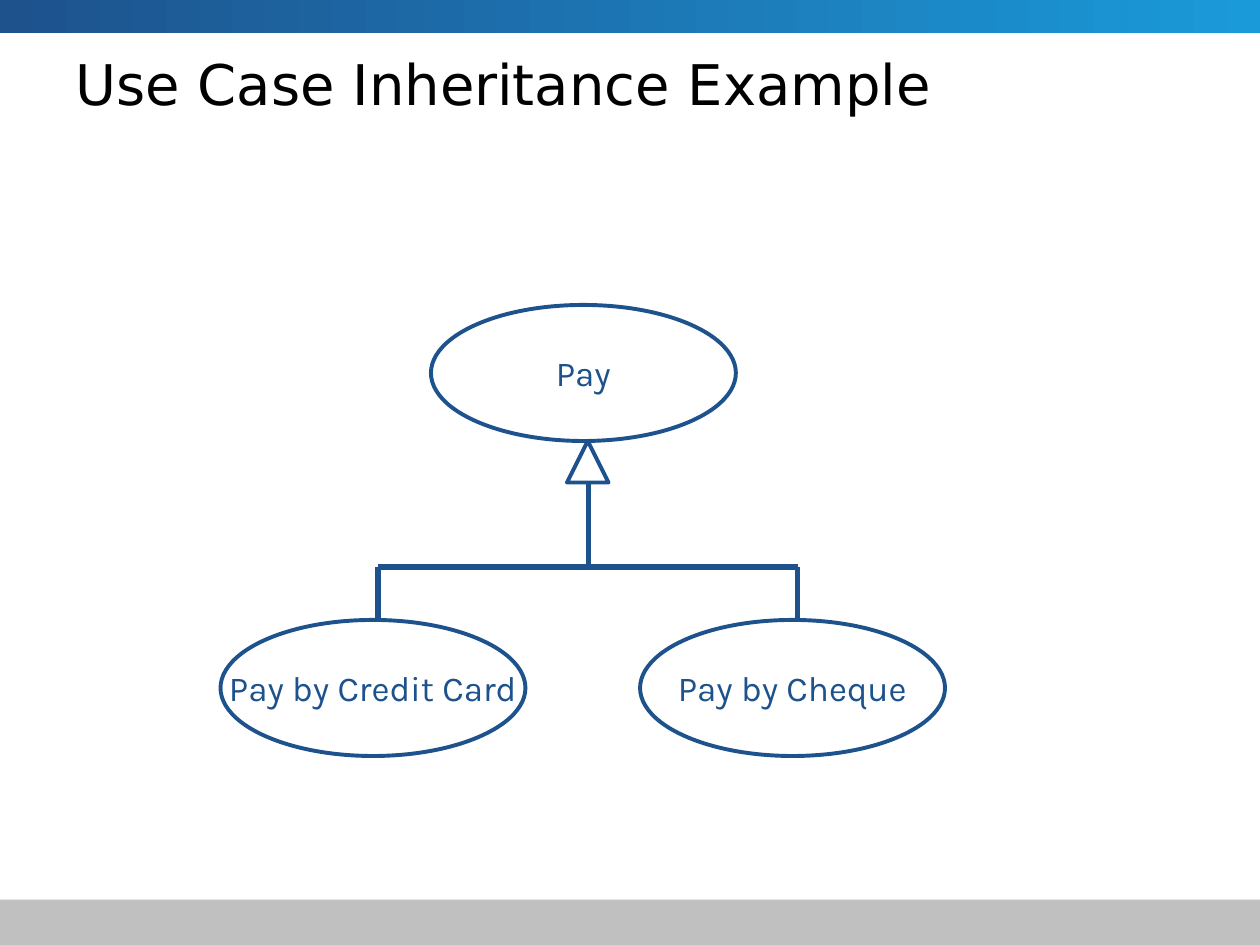
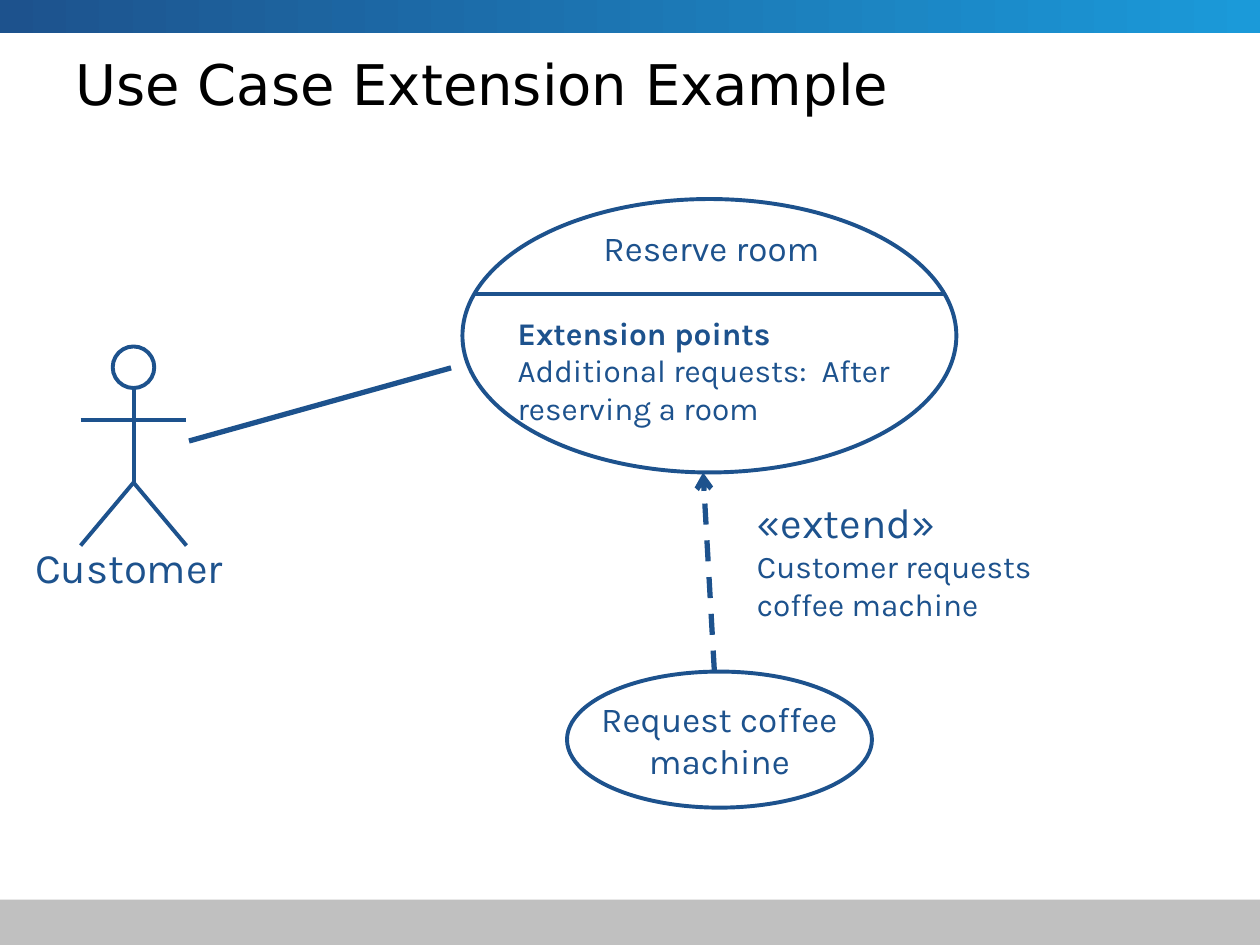
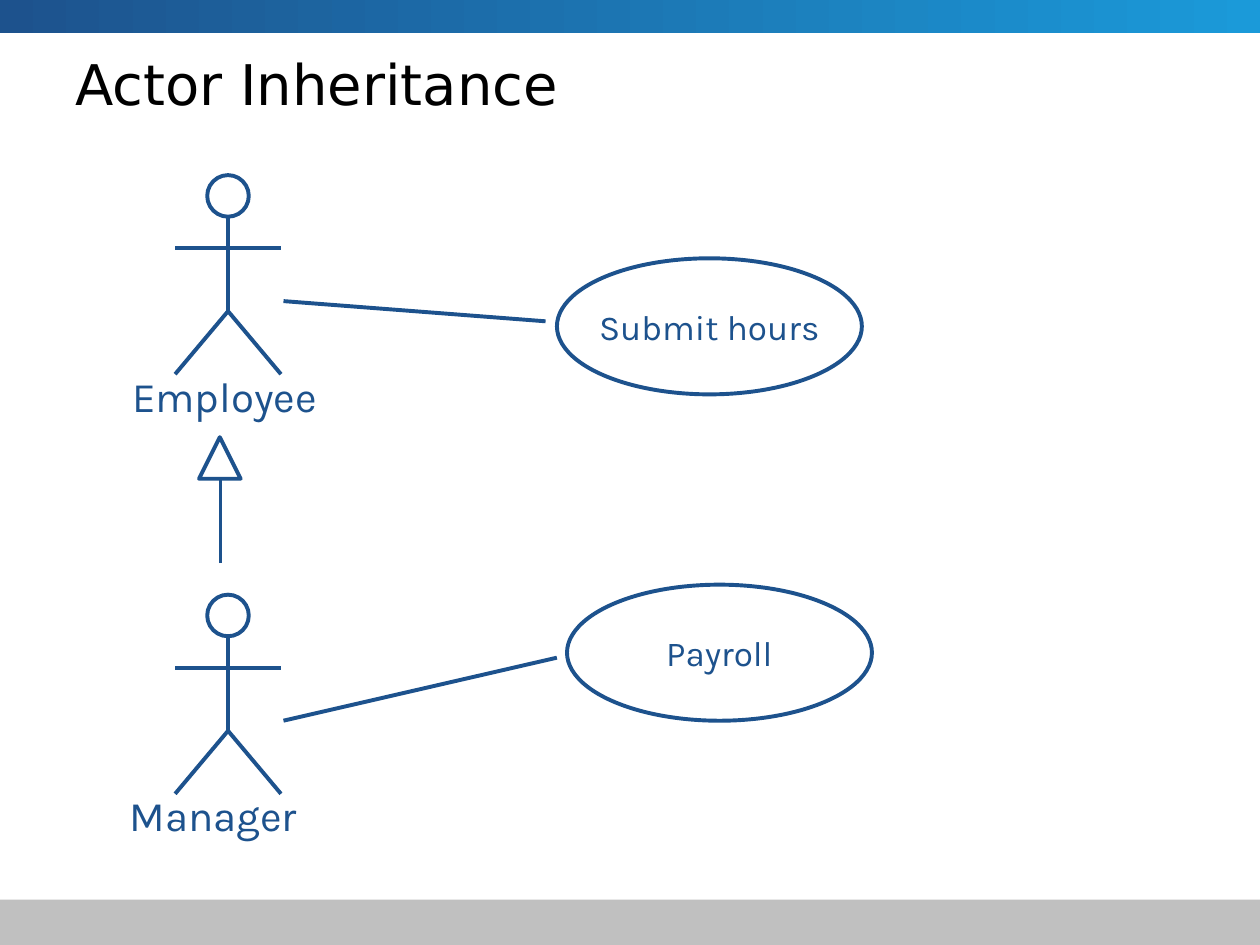
from lxml import etree
from pptx import Presentation
from pptx.dml.color import RGBColor
from pptx.enum.dml import MSO_LINE
from pptx.enum.shapes import MSO_CONNECTOR, MSO_SHAPE
from pptx.enum.text import MSO_ANCHOR, MSO_AUTO_SIZE, PP_ALIGN
from pptx.oxml.ns import qn
from pptx.util import Inches, Pt

BLUE = RGBColor(0x1D, 0x52, 0x8D)
LIGHT_BLUE = RGBColor(0x1B, 0x9A, 0xD9)
GRAY = RGBColor(0xC0, 0xC0, 0xC0)
BLACK = RGBColor(0, 0, 0)
TITLE_FONT, BODY_FONT = "DejaVu Sans", "Karla"

RECTANGLE, ELLIPSE = MSO_SHAPE.RECTANGLE, MSO_SHAPE.OVAL
TRIANGLE = MSO_SHAPE.ISOSCELES_TRIANGLE
STRAIGHT, DASH = MSO_CONNECTOR.STRAIGHT, MSO_LINE.DASH
MIDDLE, CENTER, LEFT = MSO_ANCHOR.MIDDLE, PP_ALIGN.CENTER, PP_ALIGN.LEFT
FIT_TEXT = MSO_AUTO_SIZE.SHAPE_TO_FIT_TEXT

CASE_WIDTH, CASE_HEIGHT = 2.42, 1.08
HEAD = 0.33  # size of actor heads and inheritance triangles
THIN, THICK = 2.25, 3

# Outlines: kind, left, top, width, height, text
# Lines: start x, start y, end x, end y, weight
# Actors: centre x, head top, name, name left, name width
# Labels: left, top, width, height, lines of (text, size, bold)
SLIDES = [
    {
        "title": "Use Case Inheritance Example",
        "outlines": [
            (ELLIPSE, 3.42, 2.42, CASE_WIDTH, CASE_HEIGHT, "Pay"),
            (ELLIPSE, 1.75, 4.92, CASE_WIDTH, CASE_HEIGHT, "Pay by Credit Card"),
            (ELLIPSE, 5.08, 4.92, CASE_WIDTH, CASE_HEIGHT, "Pay by Cheque"),
            (TRIANGLE, 4.5, 3.5, HEAD, HEAD, ""),
        ],
        "lines": [
            (4.67, 4.5, 4.67, 3.83, THICK),
            (6.33, 4.92, 6.33, 4.5, THICK),
            (3, 4.5, 6.33, 4.5, THICK),
            (3, 4.92, 3, 4.5, THICK),
        ],
        "dependencies": [],
        "actors": [],
        "labels": [],
    },
    {
        "title": "Use Case Extension Example",
        "outlines": [
            (ELLIPSE, 3.67, 1.58, 3.92, 2.17, ""),
            (ELLIPSE, 4.5, 5.33, CASE_WIDTH, CASE_HEIGHT, "Request coffee\nmachine"),
        ],
        "lines": [
            (1.5, 3.5, 3.58, 2.92, THICK),
            (3.75, 2.33, 7.5, 2.33, THIN),
        ],
        "dependencies": [(5.67, 5.33, 5.58, 3.75, THICK)],
        "actors": [(1.06, 2.75, "Customer", 0.18, 1.73)],
        "labels": [
            (5.91, 3.89, 2.44, 1.1, [
                ("«extend»", 24, False),
                ("Customer requests", 18, False),
                ("coffee machine", 18, False),
            ]),
            (4.69, 1.75, 2.02, 0.44, [("Reserve room", 20, False)]),
            (4.01, 2.44, 3.33, 1, [
                ("Extension points", 18, True),
                ("Additional requests:  After", 18, False),
                ("reserving a room", 18, False),
            ]),
        ],
    },
    {
        "title": "Actor Inheritance",
        "outlines": [
            (ELLIPSE, 4.42, 2.05, CASE_WIDTH, CASE_HEIGHT, "Submit hours"),
            (ELLIPSE, 4.5, 4.64, CASE_WIDTH, CASE_HEIGHT, "Payroll"),
            (TRIANGLE, 1.58, 3.47, HEAD, HEAD, ""),
        ],
        "lines": [
            (1.75, 4.47, 1.75, 3.8, THIN),
            (2.25, 2.39, 4.33, 2.55, THIN),
            (2.25, 5.72, 4.42, 5.22, THIN),
        ],
        "dependencies": [],
        "actors": [
            (1.81, 1.39, "Employee", 0.95, 1.73),
            (1.81, 4.72, "Manager", 0.93, 1.61),
        ],
        "labels": [],
    },
]


def add_outline(shapes, kind, left, top, width, height, text=""):
    """Add an unfilled blue shape with centred text."""
    shape = shapes.add_shape(kind, Inches(left), Inches(top), Inches(width), Inches(height))
    shape.shadow.inherit = False
    shape.fill.background()
    shape.line.color.rgb = BLUE
    shape.line.width = Pt(THIN)
    if text:
        frame = shape.text_frame
        frame.text = text
        frame.word_wrap = False
        frame.vertical_anchor = MIDDLE
        for para in frame.paragraphs:
            para.alignment = CENTER
            para.font.name = BODY_FONT
            para.font.size = Pt(20)
            para.font.color.rgb = BLUE


def add_line(shapes, start_x, start_y, end_x, end_y, weight):
    """Add a straight blue line without a shadow."""
    line = shapes.add_connector(
        STRAIGHT, Inches(start_x), Inches(start_y), Inches(end_x), Inches(end_y))
    line.line.color.rgb = BLUE
    line.line.width = Pt(weight)
    etree.SubElement(line._element.spPr, qn("a:effectLst"))
    return line


deck = Presentation()
deck.slide_width, deck.slide_height = Inches(10), Inches(7.5)

for content in SLIDES:
    page = deck.slides.add_slide(deck.slide_layouts[6])

    # Bands at the foot and the top
    footer = page.shapes.add_shape(RECTANGLE, 0, Inches(7.14), Inches(10), Inches(0.36))
    footer.fill.solid()
    footer.fill.fore_color.rgb = GRAY
    header = page.shapes.add_shape(RECTANGLE, 0, 0, Inches(10), Inches(0.26))
    header.fill.gradient()
    header.fill.gradient_angle = 0
    for stop, color in zip(header.fill.gradient_stops, (BLUE, LIGHT_BLUE)):
        stop.color.rgb = color
    for band in (footer, header):
        band.shadow.inherit = False
        band.line.fill.background()

    # Title
    title = page.shapes.add_textbox(Inches(0.5), Inches(0.35), Inches(9), Inches(0.62))
    title.text_frame.text = content["title"]
    title.text_frame.word_wrap = True
    title.text_frame.vertical_anchor = MIDDLE
    font = title.text_frame.paragraphs[0].font
    font.name, font.size, font.color.rgb = TITLE_FONT, Pt(32), BLACK

    # Use cases, triangles and plain lines
    for outline in content["outlines"]:
        add_outline(page.shapes, *outline)
    for ends in content["lines"]:
        add_line(page.shapes, *ends)

    # Dashed dependency arrows
    for ends in content["dependencies"]:
        arrow = add_line(page.shapes, *ends)
        arrow.line.dash_style = DASH
        etree.SubElement(arrow.line._get_or_add_ln(), qn("a:tailEnd"), type="arrow")

    # Stick figures, each grouped with its name
    labels = [(page.shapes, *label) for label in content["labels"]]
    for center, top, name, name_left, name_width in content["actors"]:
        figure = page.shapes.add_group_shape().shapes
        hip, foot, arms = top + 1.08, top + 1.58, top + 0.58
        add_outline(figure, ELLIPSE, center - HEAD / 2, top, HEAD, HEAD)
        add_line(figure, center, top + HEAD, center, hip, THIN)
        add_line(figure, center - 0.42, arms, center + 0.42, arms, THIN)
        for side in (-0.42, 0.42):
            add_line(figure, center + side, foot, center, hip, THIN)
        labels.append((figure, name_left, top + 1.5, name_width, 0.5, [(name, 24, False)]))

    # Actor names and free labels
    for shapes, left, top, width, height, lines in labels:
        box = shapes.add_textbox(Inches(left), Inches(top), Inches(width), Inches(height))
        frame = box.text_frame
        frame.text = "\n".join(text for text, size, bold in lines)
        frame.word_wrap = False
        frame.auto_size = FIT_TEXT
        for para, (text, size, bold) in zip(frame.paragraphs, lines):
            para.alignment = LEFT
            para.font.name = BODY_FONT
            para.font.size = Pt(size)
            para.font.bold = bold
            para.font.color.rgb = BLUE

deck.save("out.pptx")
